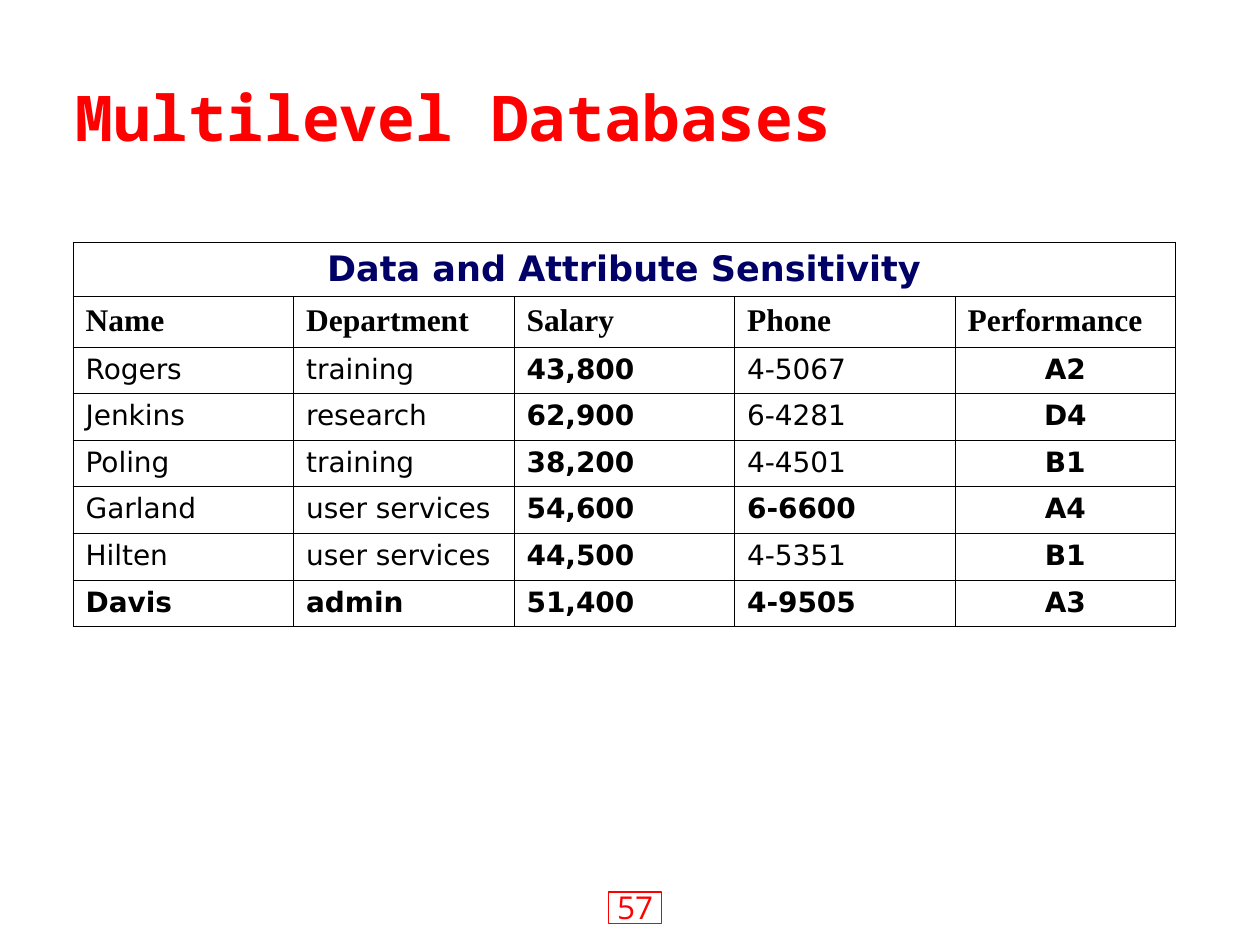
from lxml import etree
from pptx import Presentation
from pptx.dml.color import RGBColor
from pptx.enum import shapes, text
from pptx.oxml import ns
from pptx.util import Inches, Pt

COLORS = {"red": "FF0000", "navy": "000066", "black": "000000"}
BODY_FONT = "DejaVu Sans"
HEADINGS = ["Name", "Department", "Salary", "Phone", "Performance"]
STAFF = [
    ["Rogers", "training", "43,800", "4-5067", "A2"],
    ["Jenkins", "research", "62,900", "6-4281", "D4"],
    ["Poling", "training", "38,200", "4-4501", "B1"],
    ["Garland", "user services", "54,600", "6-6600", "A4"],
    ["Hilten", "user services", "44,500", "4-5351", "B1"],
    ["Davis", "admin", "51,400", "4-9505", "A3"],
]
SENSITIVE_COLUMNS = {"Salary", "Performance"}
SENSITIVE_ROWS = {"Davis"}
SENSITIVE_VALUES = {"6-6600"}


def color(name):
    return RGBColor.from_string(COLORS[name])


def write(frame, words, size, font, shade="black", bold=False, centered=False):
    para = frame.paragraphs[0]
    para.alignment = text.PP_ALIGN.CENTER if centered else text.PP_ALIGN.LEFT
    span = para.add_run()
    span.text = words
    span.font.size = Pt(size)
    span.font.name = font
    span.font.bold = bold
    span.font.color.rgb = color(shade)


def add_text(page, left, top, width, height, words, size, font, **style):
    box = page.shapes.add_textbox(
        Inches(left), Inches(top), Inches(width), Inches(height))
    frame = box.text_frame
    frame.word_wrap = True
    write(frame, words, size, font, **style)
    return frame


def add_number_frame(page):
    box = page.shapes.add_shape(
        shapes.MSO_SHAPE.RECTANGLE,
        Inches(4.83), Inches(7.08), Inches(0.42), Inches(0.25))
    box.shadow.inherit = False
    box.fill.background()
    box.line.color.rgb = color("red")
    box.line.width = Pt(0.75)


def outline(cell):
    """Draw a thin black border on every side of a clear cell."""
    properties = cell._tc.get_or_add_tcPr()
    for side in ("a:lnL", "a:lnR", "a:lnT", "a:lnB"):
        line = etree.SubElement(properties, ns.qn(side), w=str(Pt(0.45)))
        fill = etree.SubElement(line, ns.qn("a:solidFill"))
        etree.SubElement(fill, ns.qn("a:srgbClr"), val=COLORS["black"])
    cell.fill.background()


def add_staff_table(page):
    heights = [0.43, 0.4] + [0.37] * len(STAFF)
    width = 1.75 * len(HEADINGS)
    table = page.shapes.add_table(
        len(heights), len(HEADINGS), Inches(0.58), Inches(1.92),
        Inches(width), Inches(sum(heights))).table
    table.horz_banding = False
    for row, height in zip(table.rows, heights):
        row.height = Inches(height)
    for cell in table.iter_cells():
        outline(cell)

    caption = table.cell(0, 0)
    caption.merge(table.cell(0, len(HEADINGS) - 1))
    caption.vertical_anchor = text.MSO_ANCHOR.MIDDLE
    write(caption.text_frame, "Data and Attribute Sensitivity", 20, BODY_FONT,
          shade="navy", bold=True, centered=True)

    for column, heading in enumerate(HEADINGS):
        write(table.cell(1, column).text_frame, heading, 18,
              "Times New Roman", bold=True)
        for row, person in enumerate(STAFF, start=2):
            value = person[column]
            sensitive = (heading in SENSITIVE_COLUMNS
                         or person[0] in SENSITIVE_ROWS
                         or value in SENSITIVE_VALUES)
            write(table.cell(row, column).text_frame, value, 16, BODY_FONT,
                  bold=sensitive, centered=heading == "Performance")


def main():
    deck = Presentation()
    deck.slide_width, deck.slide_height = Inches(10), Inches(7.5)
    page = deck.slides.add_slide(deck.slide_layouts[6])
    add_text(page, 4.58, 7, 0.92, 0.44, "57", 18, "Open Sans",
             shade="red", centered=True)
    add_number_frame(page)
    title = add_text(page, 0.5, 0.3, 9, 1.25, "Multilevel Databases", 36,
                     "Noto Sans Mono", shade="red", bold=True)
    title.vertical_anchor = text.MSO_ANCHOR.MIDDLE
    add_staff_table(page)
    deck.save("out.pptx")


if __name__ == "__main__":
    main()
